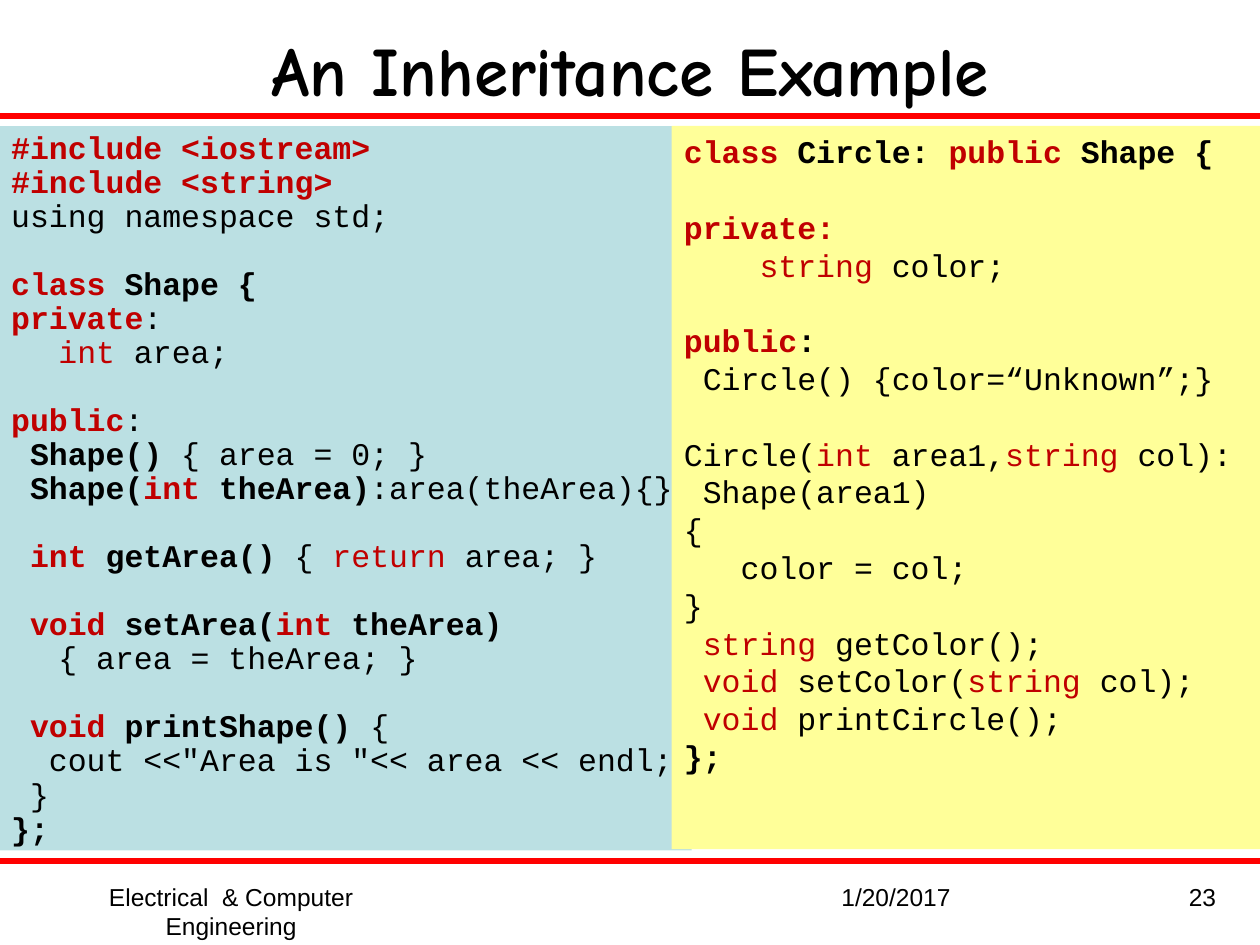
"""Build a slide that shows a C++ inheritance example in two code panels."""
from dataclasses import dataclass
from functools import partial

from pptx import Presentation
from pptx.dml.color import RGBColor as RGB
from pptx.enum.shapes import MSO_CONNECTOR as CONN, MSO_SHAPE as SHAPE
from pptx.enum.text import MSO_ANCHOR as ANCHOR, PP_ALIGN as ALIGN
from pptx.oxml.xmlchemy import OxmlElement
from pptx.util import Inches, Length, Pt


@dataclass(frozen=True)
class Theme:
    black: RGB = RGB(0, 0, 0)
    keyword: RGB = RGB(0xC0, 0, 0)
    rule: RGB = RGB(0xFF, 0, 0)
    blue: RGB = RGB(0xBB, 0xE0, 0xE3)
    yellow: RGB = RGB(0xFF, 0xFF, 0x99)
    title_font: str = "Comic Neue"
    code_font: str = "Courier New"
    footer_font: str = "Arial"
    title_size: Length = Pt(39.6)
    code_size: Length = Pt(18)
    footer_size: Length = Pt(14)
    rule_width: Length = Pt(3.5)
    line_pitch: float = 21.6
    column: float = 0.15


@dataclass(frozen=True)
class Run:
    text: str
    bold: bool = False
    red: bool = False


@dataclass(frozen=True)
class Line:
    runs: tuple[Run, ...]
    indent: float = 0
    gap: bool = False
    hang: float = 0


@dataclass(frozen=True)
class Box:
    left: float
    top: float
    width: float
    height: float

    def lengths(self) -> tuple[Length, ...]:
        return tuple(Inches(v) for v in (self.left, self.top, self.width, self.height))


@dataclass(frozen=True)
class Panel:
    box: Box
    fill: RGB
    spacing: float
    lines: tuple[Line, ...]


@dataclass(frozen=True)
class Label:
    text: str
    box: Box
    align: ALIGN
    font: str = Theme.footer_font
    size: Length = Theme.footer_size
    bold: bool = False
    anchor: ANCHOR = ANCHOR.TOP


THEME = Theme()
TAB = 2.5
plain = Run
bold = partial(Run, bold=True)
red = partial(Run, red=True)
key = partial(Run, bold=True, red=True)


def line(*runs: Run, indent: float = 0, gap: bool = False, hang: float = 0) -> Line:
    return Line(runs, indent, gap, hang)


SHAPE_CLASS = Panel(Box(-0.01, 1, 5.5, 5.75), THEME.blue, 0.9, (
    line(key("#include <iostream>")),
    line(key("#include <string>")),
    line(plain("using namespace std;")),
    line(key("class"), bold(" Shape {"), gap=True),
    line(key("private"), plain(":")),
    line(red("int "), plain("area;"), indent=TAB),
    line(key("public"), plain(":"), gap=True),
    line(bold("Shape() "), plain("{ area = 0; }"), indent=1),
    line(bold("Shape("), key("int "), bold("theArea)"), plain(":area(theArea){}"), indent=1),
    line(key("int "), bold("getArea() "), plain("{ "), red("return"), plain(" area; }"),
         indent=1, gap=True),
    line(key("void "), bold("setArea("), key("int "), bold("theArea)"), indent=1, gap=True),
    line(plain("{ area = theArea; }"), indent=TAB),
    line(key("void "), bold("printShape()"), plain(" {"), indent=1, gap=True),
    line(plain('cout <<"Area is "<< area << endl;'), indent=2),
    line(plain("}"), indent=1),
    line(bold("};")),
))

CIRCLE_CLASS = Panel(Box(5.33, 1, 4.67, 5.74), THEME.yellow, 1, (
    line(key("class"), bold(" Circle: "), key("public"), bold(" Shape {")),
    line(key("private:"), gap=True),
    line(red("string "), plain("color;"), indent=4),
    line(key("public"), bold(":"), gap=True),
    line(plain("Circle() {color=“Unknown”;}"), indent=1),
    line(plain("Circle("), red("int "), plain("area1,"), red("string"),
         plain(" col): Shape(area1)"), gap=True, hang=1),
    line(plain("{")),
    line(plain("color = col;"), indent=3),
    line(plain("}")),
    line(red("string "), plain("getColor();"), indent=1),
    line(red("void "), plain("setColor("), red("string "), plain("col);"), indent=1),
    line(red("void "), plain("printCircle();"), indent=1),
    line(bold("};")),
))

LABELS = (
    Label("An Inheritance Example", Box(0, 0.17, 10, 0.75), ALIGN.CENTER,
          THEME.title_font, THEME.title_size, True, ANCHOR.MIDDLE),
    Label("Electrical  & Computer Engineering", Box(0.25, 6.95, 3.17, 0.52), ALIGN.CENTER),
    Label("1/20/2017", Box(6.58, 6.95, 2.33, 0.52), ALIGN.LEFT),
    Label("23", Box(9.17, 6.95, 0.58, 0.52), ALIGN.RIGHT),
)


def add_rule(s, y: float) -> None:
    rule = s.shapes.add_connector(CONN.STRAIGHT, 0, Inches(y), Inches(10), Inches(y))
    rule.line.color.rgb = THEME.rule
    rule.line.width = THEME.rule_width
    rule._element.spPr.append(OxmlElement("a:effectLst"))


def add_label(s, label: Label) -> None:
    tf = s.shapes.add_textbox(*label.box.lengths()).text_frame
    tf.word_wrap = True
    tf.vertical_anchor = label.anchor
    p = tf.paragraphs[0]
    p.text = label.text
    p.alignment = label.align
    p.font.name, p.font.size, p.font.bold = label.font, label.size, label.bold
    p.font.color.rgb = THEME.black


def write_line(p, code: Line, spacing: float) -> None:
    p.alignment = ALIGN.LEFT
    p.line_spacing = spacing
    p.space_before = Pt(THEME.line_pitch * spacing if code.gap else 0)
    pPr = p._p.get_or_add_pPr()
    pPr.set("marL", str(Inches((code.indent + code.hang) * THEME.column)))
    pPr.set("indent", str(Inches(-code.hang * THEME.column)))
    p.font.name, p.font.size = THEME.code_font, THEME.code_size
    for run in code.runs:
        r = p.add_run()
        r.text = run.text
        r.font.bold = run.bold
        r.font.color.rgb = THEME.keyword if run.red else THEME.black


def add_panel(s, panel: Panel) -> None:
    sp = s.shapes.add_shape(SHAPE.RECTANGLE, *panel.box.lengths())
    sp.shadow.inherit = False
    sp.fill.solid()
    sp.fill.fore_color.rgb = panel.fill
    sp.line.fill.background()
    tf = sp.text_frame
    tf.word_wrap = True
    tf.vertical_anchor = ANCHOR.TOP
    for i, code in enumerate(panel.lines):
        write_line(tf.add_paragraph() if i else tf.paragraphs[0], code, panel.spacing)


def main() -> None:
    prs = Presentation()
    prs.slide_width, prs.slide_height = Inches(10), Inches(7.5)
    s = prs.slides.add_slide(prs.slide_layouts[6])
    for y in (0.92, 6.83):
        add_rule(s, y)
    for label in LABELS:
        add_label(s, label)
    for panel in (SHAPE_CLASS, CIRCLE_CLASS):
        add_panel(s, panel)
    prs.save("out.pptx")


if __name__ == "__main__":
    main()
